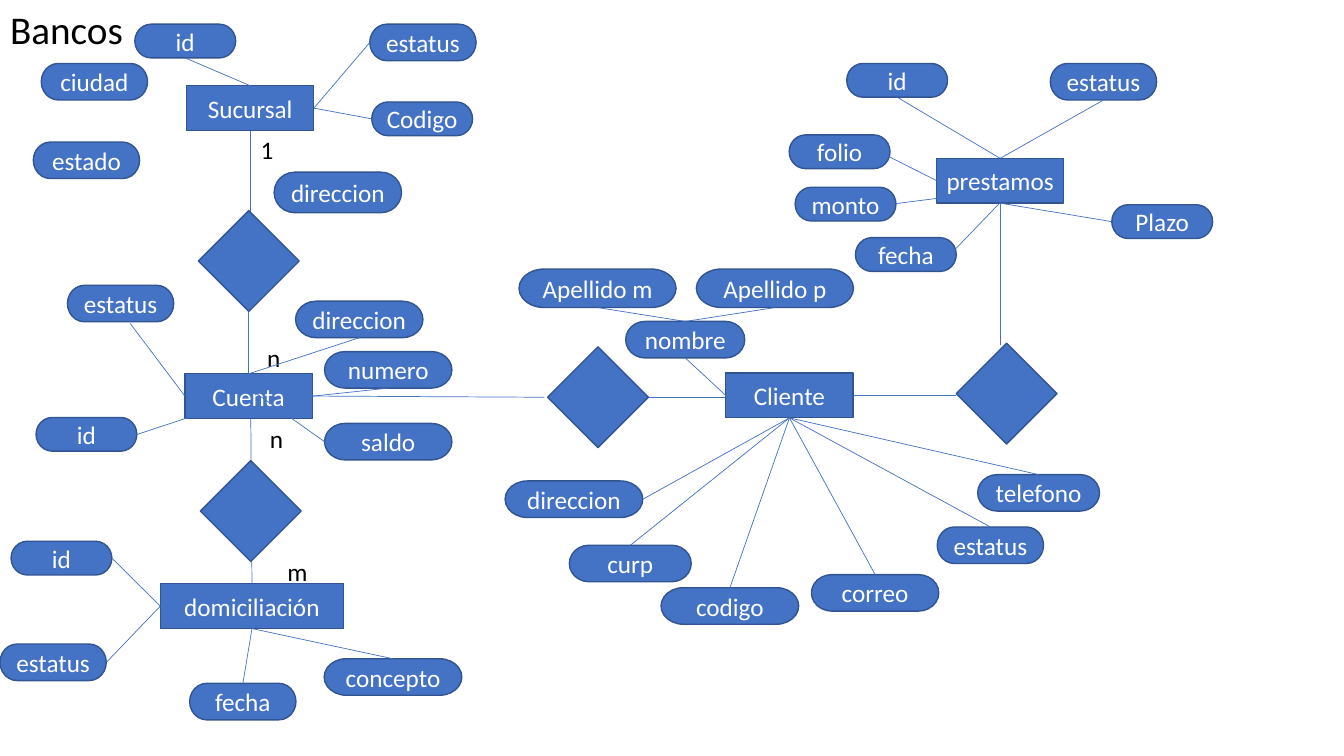
from dataclasses import dataclass
from enum import IntEnum

import lxml.etree
import pptx
import pptx.dml.color
import pptx.enum.shapes
import pptx.enum.text
import pptx.oxml.ns
import pptx.shapes.autoshape
import pptx.shapes.connector
import pptx.slide
import pptx.text.text
import pptx.util

Cm = pptx.util.Cm
Preset = pptx.enum.shapes.MSO_SHAPE
Align = pptx.enum.text.PP_ALIGN
Anchor = pptx.enum.text.MSO_ANCHOR


class Side(IntEnum):
    TOP = 0
    LEFT = 1
    BOTTOM = 2
    RIGHT = 3


TOP, LEFT, BOTTOM, RIGHT = Side


@dataclass(frozen=True)
class Theme:
    font: str = "Calibri"
    fill: str = "4472C4"
    outline: str = "325491"
    link: str = "4472C4"
    dark_text: str = "000000"
    light_text: str = "FFFFFF"
    title_size: float = 28
    text_size: float = 18
    outline_width: float = 1
    link_width: float = 0.5


@dataclass(frozen=True)
class Attribute:
    text: str
    left: float
    top: float
    width: float = 2.68
    height: float = 0.92
    sides: tuple[Side, Side] | None = None
    components: tuple["Attribute", ...] = ()


@dataclass(frozen=True)
class Entity:
    text: str
    left: float
    top: float
    attributes: tuple[Attribute, ...]
    width: float = 3.21
    height: float = 1.13


@dataclass(frozen=True)
class Line:
    start: tuple[float, float]
    end: tuple[float, float]


@dataclass(frozen=True)
class Label:
    text: str
    left: float
    top: float


THEME = Theme()
SMALL = (2.54, 0.85)
MEDIUM = (2.68, 0.92)
WIDE = (3.21, 0.92)
LONG = (3.47, 0.92)
SURNAME = (3.96, 0.97)
CONTACT = (3.07, 0.92)
DIAMOND_SIZE = 2.54

ENTITIES = (
    Entity("Sucursal", 4.7, 2.16, (
        Attribute("id", 3.4, 0.61, *SMALL, (TOP, BOTTOM)),
        Attribute("Codigo", 9.37, 2.57, *SMALL, (RIGHT, LEFT)),
        Attribute("estatus", 9.32, 0.61, *MEDIUM, (RIGHT, LEFT)),
        Attribute("ciudad", 1.04, 1.6),
        Attribute("estado", 0.84, 3.58),
        Attribute("direccion", 6.91, 4.34, 3.21, 1.02),
    )),
    Entity("Cuenta", 4.66, 9.42, (
        Attribute("estatus", 1.7, 7.19),
        Attribute("id", 0.91, 10.52, *SMALL),
        Attribute("direccion", 7.45, 7.59, *WIDE, (TOP, BOTTOM)),
        Attribute("numero", 8.18, 8.86, *WIDE, (RIGHT, BOTTOM)),
        Attribute("saldo", 8.18, 10.67, *WIDE),
    )),
    Entity("domiciliación", 4.04, 14.71, (
        Attribute("id", 0.28, 13.64, *SMALL, (LEFT, RIGHT)),
        Attribute("estatus", 0, 16.23, *MEDIUM, (LEFT, RIGHT)),
        Attribute("fecha", 4.78, 17.22, *MEDIUM, (BOTTOM, TOP)),
        Attribute("concepto", 8.17, 16.6, *LONG, (BOTTOM, TOP)),
    ), width=4.62),
    Entity("Cliente", 18.29, 9.4, (
        Attribute("nombre", 15.77, 8.1, 3, 0.92, (LEFT, BOTTOM), (
            Attribute("Apellido m", 13.08, 6.78, *SURNAME, (TOP, BOTTOM)),
            Attribute("Apellido p", 17.55, 6.78, *SURNAME, (TOP, BOTTOM)),
        )),
        Attribute("direccion", 12.73, 12.12, *LONG, (BOTTOM, RIGHT)),
        Attribute("codigo", 16.66, 14.81, *LONG, (BOTTOM, TOP)),
        Attribute("correo", 20.45, 14.48, *WIDE, (BOTTOM, TOP)),
        Attribute("curp", 14.35, 13.74, *CONTACT, (BOTTOM, TOP)),
        Attribute("estatus", 23.62, 13.28, *MEDIUM, (BOTTOM, TOP)),
        Attribute("telefono", 24.64, 11.96, *CONTACT, (BOTTOM, TOP)),
    )),
    Entity("prestamos", 23.6, 3.99, (
        Attribute("id", 21.34, 1.6, *SMALL, (TOP, BOTTOM)),
        Attribute("estatus", 26.47, 1.6, *MEDIUM, (TOP, BOTTOM)),
        Attribute("folio", 19.89, 3.4, *SMALL),
        Attribute("monto", 20.04, 4.72, *SMALL),
        Attribute("fecha", 21.56, 5.99, *SMALL),
        Attribute("Plazo", 28.02, 5.16, *SMALL, (BOTTOM, LEFT)),
    )),
)
RELATION_LINES = (
    Line((6.32, 3.28), (6.32, 6.12)),
    Line((6.27, 7.85), (6.27, 9.42)),
    Line((6.32, 10.54), (6.35, 14.71)),
    Line((7.87, 9.98), (13.72, 10.01)),
    Line((16.26, 10.01), (18.57, 10.01)),
    Line((21.51, 9.96), (24.1, 9.96)),
    Line((25.2, 5.11), (25.2, 8.69)),
)
FREE_ATTRIBUTE_LINES = (
    Line((4.66, 9.98), (3.28, 8.15)),
    Line((5.08, 10.41), (3.45, 10.95)),
    Line((6.27, 9.78), (8.18, 11.13)),
    Line((23.6, 4.55), (22.23, 3.86)),
    Line((24, 4.95), (22.58, 5.13)),
    Line((25.2, 5.11), (23.93, 6.43)),
)
DIAMONDS = ((5, 5.31), (5.05, 11.61), (13.8, 8.74), (24.1, 8.65))
LABELS = (Label("1", 6.32, 3.25), Label("n", 6.48, 8.51),
          Label("n", 6.55, 10.54), Label("m", 6.99, 13.89))


def color(value: str) -> pptx.dml.color.RGBColor:
    return pptx.dml.color.RGBColor.from_string(value)


def write(frame: pptx.text.text.TextFrame, text: str, *, size: float = THEME.text_size,
          ink: str = THEME.dark_text, align: Align = Align.LEFT,
          anchor: Anchor = Anchor.TOP) -> None:
    frame.word_wrap = False
    frame.vertical_anchor = anchor
    paragraph = frame.paragraphs[0]
    paragraph.alignment = align
    run = paragraph.add_run()
    run.text = text
    run.font.name = THEME.font
    run.font.size = pptx.util.Pt(size)
    run.font.color.rgb = color(ink)


def draw_shape(slide: pptx.slide.Slide, preset: Preset, left: float, top: float,
               width: float, height: float, text: str = "") -> pptx.shapes.autoshape.Shape:
    shape = slide.shapes.add_shape(preset, Cm(left), Cm(top), Cm(width), Cm(height))
    shape.shadow.inherit = False
    shape.fill.solid()
    shape.fill.fore_color.rgb = color(THEME.fill)
    shape.line.color.rgb = color(THEME.outline)
    shape.line.width = pptx.util.Pt(THEME.outline_width)
    if text:
        write(shape.text_frame, text, ink=THEME.light_text, align=Align.CENTER,
              anchor=Anchor.MIDDLE)
    return shape


def draw_line(slide: pptx.slide.Slide, line: Line) -> pptx.shapes.connector.Connector:
    connector = slide.shapes.add_connector(
        pptx.enum.shapes.MSO_CONNECTOR.STRAIGHT, *map(Cm, line.start + line.end))
    connector.line.color.rgb = color(THEME.link)
    connector.line.width = pptx.util.Pt(THEME.link_width)
    lxml.etree.SubElement(connector._element.spPr, pptx.oxml.ns.qn("a:effectLst"))
    return connector


def draw_attributes(slide: pptx.slide.Slide, owner: pptx.shapes.autoshape.Shape,
                    attributes: tuple[Attribute, ...]) -> None:
    for attribute in attributes:
        shape = draw_shape(slide, Preset.FLOWCHART_TERMINATOR, attribute.left, attribute.top,
                           attribute.width, attribute.height, attribute.text)
        if attribute.sides:
            owner_side, attribute_side = attribute.sides
            connector = draw_line(slide, Line((0, 0), (0, 0)))
            connector.begin_connect(owner, int(owner_side))
            connector.end_connect(shape, int(attribute_side))
        draw_attributes(slide, shape, attribute.components)


def draw_title(slide: pptx.slide.Slide, text: str) -> None:
    title = slide.shapes.title
    title.left, title.top, title.width, title.height = Cm(0), Cm(0), Cm(3.38), Cm(1.45)
    title.text_frame.auto_size = pptx.enum.text.MSO_AUTO_SIZE.NONE
    write(title.text_frame, text, size=THEME.title_size)


def draw_label(slide: pptx.slide.Slide, label: Label) -> None:
    box = slide.shapes.add_textbox(Cm(label.left), Cm(label.top), Cm(0.9), Cm(1.03))
    write(box.text_frame, label.text)


def main() -> None:
    presentation = pptx.Presentation()
    presentation.slide_width, presentation.slide_height = Cm(33.87), Cm(19.05)
    slide = presentation.slides.add_slide(presentation.slide_layouts[5])
    draw_title(slide, "Bancos")
    for line in RELATION_LINES:
        draw_line(slide, line)
    for left, top in DIAMONDS:
        draw_shape(slide, Preset.DIAMOND, left, top, DIAMOND_SIZE, DIAMOND_SIZE)
    for label in LABELS:
        draw_label(slide, label)
    for entity in ENTITIES:
        shape = draw_shape(slide, Preset.RECTANGLE, entity.left, entity.top,
                           entity.width, entity.height, entity.text)
        draw_attributes(slide, shape, entity.attributes)
    for line in FREE_ATTRIBUTE_LINES:
        draw_line(slide, line)
    presentation.save("out.pptx")


main()
